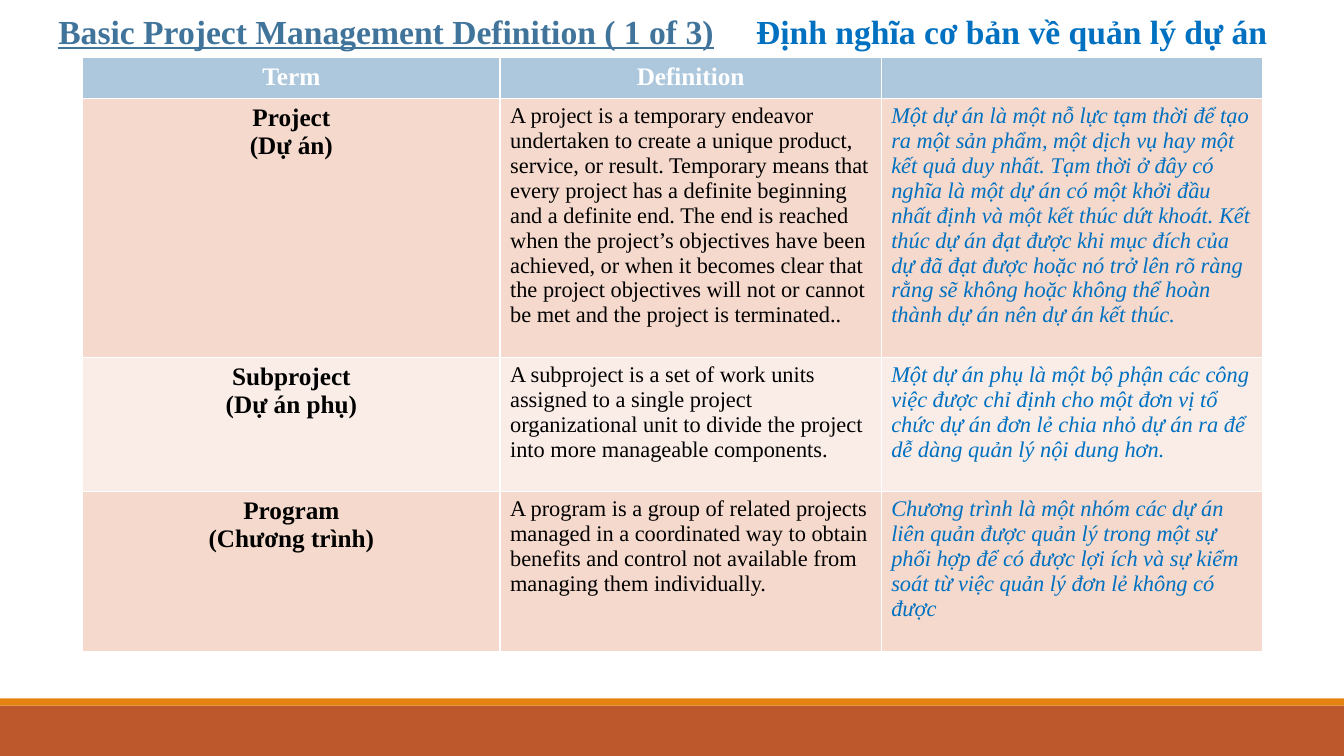
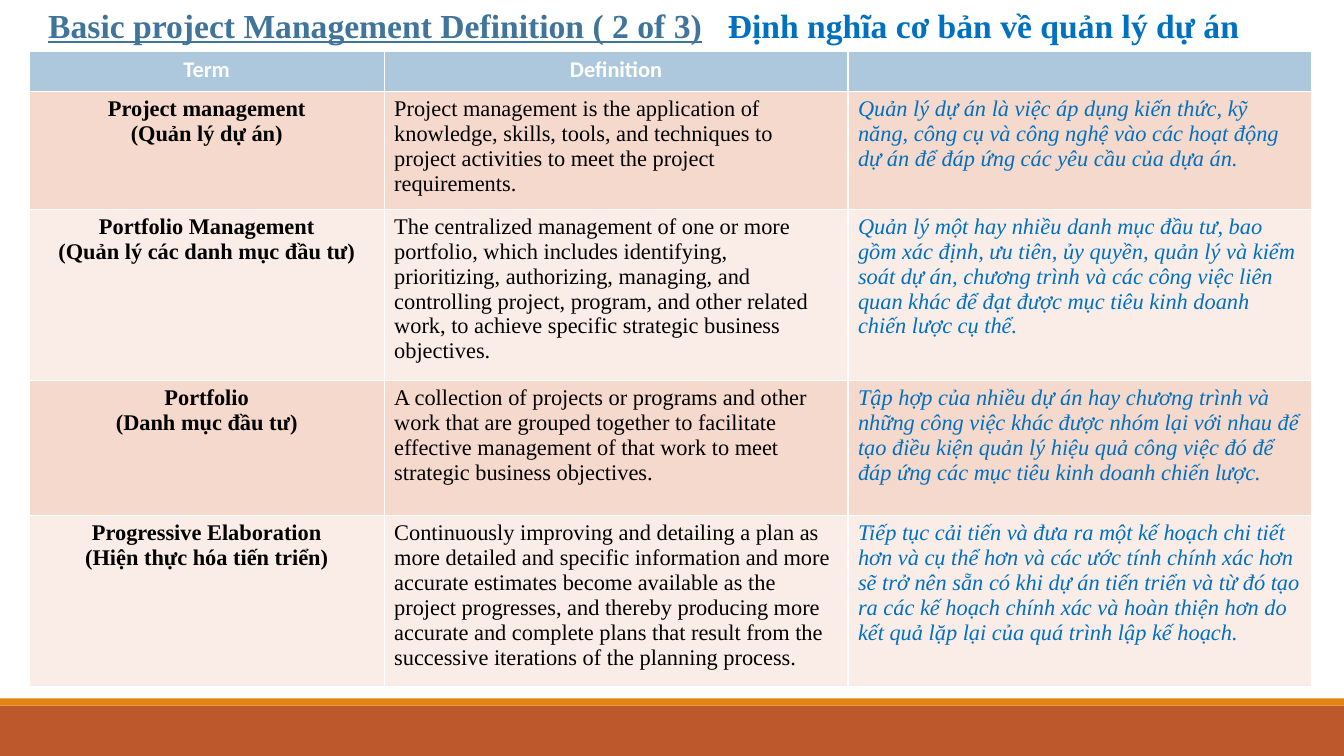
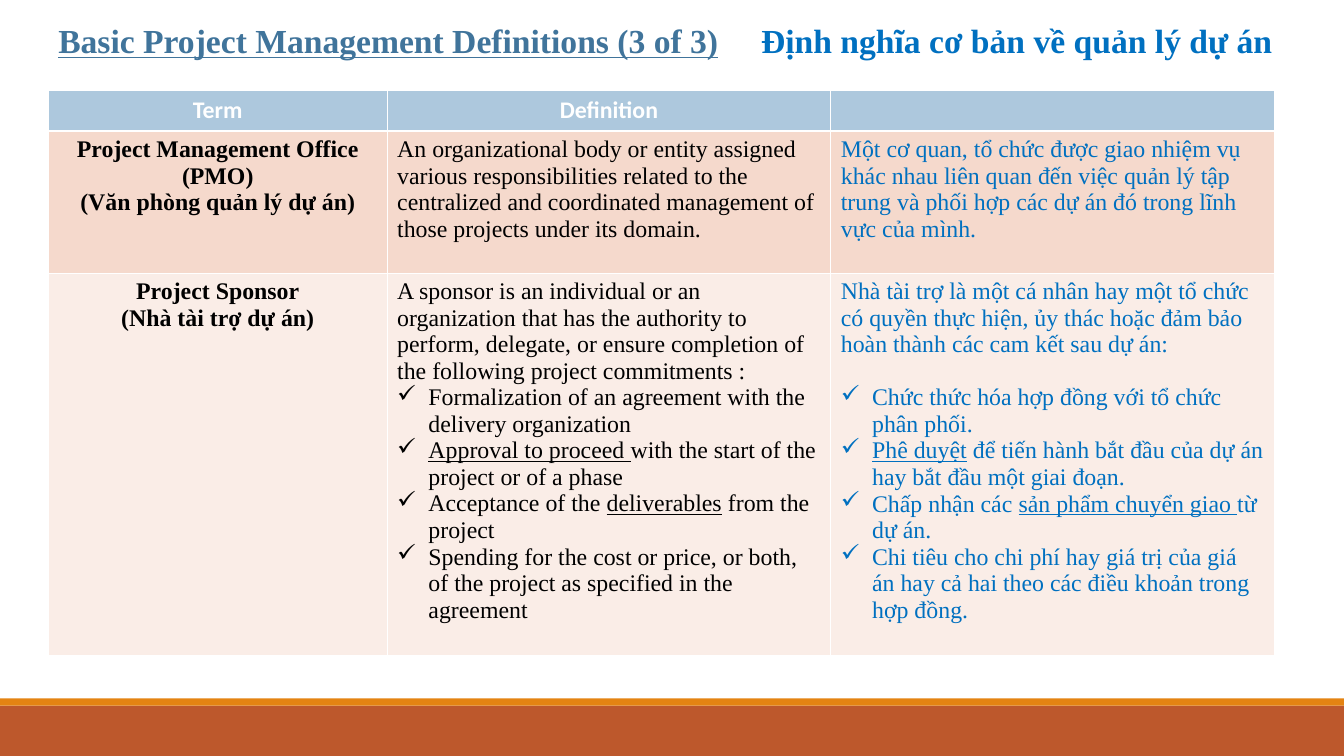
import pptx
import pptx.util
import pptx.dml.color
import pptx.enum.shapes
import pptx.enum.text
import pptx.oxml.ns
import lxml.etree

Inches = pptx.util.Inches
Pt = pptx.util.Pt
ALIGN = pptx.enum.text.PP_ALIGN

INK = {
    "band": "BD582C", "strip": "E48312", "title": "40749B", "blue": "0070C0",
    "black": "000000", "white": "FFFFFF",
    "head": "ADC8DD", "odd": "F5D9CC", "even": "FAEDE7",
}
SERIF = "Times New Roman"
SANS = "Calibri"
LOCAL = "Định nghĩa cơ bản về quản lý dự án"
HEADS = ["Term", "Definition", ""]
BANDS = [("band", 7, 0.5), ("strip", 6.93, 0.07)]
TICK = "✓ "

TITLE = {"name": SERIF, "size": Pt(24), "bold": True}
HEAD = {"bold": True, "ink": "white"}
COLS = [
    {"name": SERIF, "bold": True, "ink": "black"},
    {"name": SERIF, "bold": False, "ink": "black"},
    {"name": SERIF, "bold": False, "ink": "blue"},
]

SLIDES = [
    {
        "title": "Basic Project Management Definition ( 1 of 3)",
        "box": (0.48, 0.06, 12.39), "tab": 6.92,
        "at": (0.82, 0.57), "cols": [4.14, 3.78, 3.78],
        "rows": [0.41, 2.57, 1.33, 1.58],
        "font": SERIF, "sizes": (18, 18, 16), "slant": True, "gap": 0,
        "cells": [
            (["Project", "(Dự án)"],
             ["A project is a temporary endeavor undertaken to create a unique product, service, or result. Temporary means that every project has a definite beginning and a definite end. The end is reached when the project’s objectives have been achieved, or when it becomes clear that the project objectives will not or cannot be met and the project is terminated.."],
             ["Một dự án là một nỗ lực tạm thời để tạo ra một sản phẩm, một dịch vụ hay một kết quả duy nhất. Tạm thời ở đây có nghĩa là một dự án có một khởi đầu nhất định và một kết thúc dứt khoát. Kết thúc dự án đạt được khi mục đích của dự đã đạt được hoặc nó trở lên rõ ràng rằng sẽ không hoặc không thể hoàn thành dự án nên dự án kết thúc."]),
            (["Subproject", "(Dự án phụ)"],
             ["A subproject is a set of work units assigned to a single project organizational unit to divide the project into more manageable components."],
             ["Một dự án phụ là một bộ phận các công việc được chỉ định cho một đơn vị tổ chức dự án đơn lẻ chia nhỏ dự án ra để dễ dàng quản lý nội dung hơn."]),
            (["Program", "(Chương trình)"],
             ["A program is a group of related projects managed in a coordinated way to obtain benefits and control not available from managing them individually."],
             ["Chương trình là một nhóm các dự án liên quản được quản lý trong một sự phối hợp để có được lợi ích và sự kiểm soát từ việc quản lý đơn lẻ không có được"]),
        ],
    },
    {
        "title": "Basic project Management Definition ( 2 of 3)",
        "box": (0.38, 0, 12.71), "tab": 6.74,
        "at": (0.29, 0.51), "cols": [3.52, 4.6, 4.6],
        "rows": [0.38, 1.08, 1.59, 1.34, 1.59],
        "font": SANS, "sizes": (16, 16, 16), "slant": True, "gap": 0,
        "cells": [
            (["Project management", "(Quản lý dự án)"],
             ["Project management is the application of knowledge, skills, tools, and techniques to project activities to meet the project requirements."],
             ["Quản lý dự án là việc áp dụng kiến thức, kỹ năng, công cụ và công nghệ vào các hoạt động dự án để đáp ứng các yêu cầu của dựa án."]),
            (["Portfolio Management", "(Quản lý các danh mục đầu tư)"],
             ["The centralized management of one or more portfolio, which includes identifying, prioritizing, authorizing, managing, and controlling project, program, and other related work, to achieve specific strategic business objectives."],
             ["Quản lý một hay nhiều danh mục đầu tư, bao gồm xác định, ưu tiên, ủy quyền, quản lý và kiểm soát dự án, chương trình và các công việc liên quan khác để đạt được mục tiêu kinh doanh chiến lược cụ thể."]),
            (["Portfolio", "(Danh mục đầu tư)"],
             ["A collection of projects or programs and other work that are grouped together to facilitate effective management of that work to meet strategic business objectives."],
             ["Tập hợp của nhiều dự án hay chương trình và những công việc khác được nhóm lại với nhau để tạo điều kiện quản lý hiệu quả công việc đó để đáp ứng các mục tiêu kinh doanh chiến lược."]),
            (["Progressive Elaboration", "(Hiện thực hóa tiến triển)"],
             ["Continuously improving and detailing a plan as more detailed and specific information and more accurate estimates become available as the project progresses, and thereby producing more accurate and complete plans that result from the successive iterations of the planning process."],
             ["Tiếp tục cải tiến và đưa ra một kế hoạch chi tiết hơn và cụ thể hơn và các ước tính chính xác hơn sẽ trở nên sẵn có khi dự án tiến triển và từ đó tạo ra các kế hoạch chính xác và hoàn thiện hơn do kết quả lặp lại của quá trình lập kế hoạch."]),
        ],
    },
    {
        "title": "Basic Project Management Definitions (3 of 3)",
        "box": (0.48, 0.15, 12.3), "tab": 6.97,
        "at": (0.48, 0.9), "cols": [3.36, 4.4, 4.4],
        "rows": [0.39, 1.41, 3.79],
        "font": SANS, "sizes": (17, 17, 17), "slant": False, "gap": 19,
        "cells": [
            (["Project Management Office (PMO)", "(Văn phòng quản lý dự án)"],
             ["An organizational body or entity assigned various responsibilities related to the centralized and coordinated management of those projects under its domain."],
             ["Một cơ quan, tổ chức được giao nhiệm vụ khác nhau liên quan đến việc quản lý tập trung và phối hợp các dự án đó trong lĩnh vực của mình."]),
            (["Project Sponsor", "(Nhà tài trợ dự án)"],
             ["A sponsor is an individual or an organization that has the authority to perform, delegate, or ensure completion of the following project commitments :",
              "✓ Formalization of an agreement with the delivery organization",
              "✓ _Approval to proceed _with the start of the project or of a phase",
              "✓ Acceptance of the _deliverables_ from the project",
              "✓ Spending for the cost or price, or both, of the project as specified in the agreement"],
             ["Nhà tài trợ là một cá nhân hay một tổ chức có quyền thực hiện, ủy thác hoặc đảm bảo hoàn thành các cam kết sau dự án:",
              "✓ Chức thức hóa hợp đồng với tổ chức phân phối.",
              "✓ _Phê duyệt_ để tiến hành bắt đầu của dự án hay bắt đầu một giai đoạn.",
              "✓ Chấp nhận các _sản phẩm chuyển giao _từ dự án.",
              "✓ Chi tiêu cho chi phí hay giá trị của giá án hay cả hai theo các điều khoản trong hợp đồng."]),
        ],
    },
]


def paint(fill, ink):
    fill.solid()
    fill.fore_color.rgb = pptx.dml.color.RGBColor.from_string(INK[ink])


def add_run(para, text, form):
    run = para.add_run()
    run.text = text
    for key, val in form.items():
        if key == "ink":
            paint(run.font.fill, val)
        else:
            setattr(run.font, key, val)


def add_sub(node, tag, **attrs):
    return lxml.etree.SubElement(node, pptx.oxml.ns.qn(tag), attrs)


def add_tick(para):
    props = para._p.get_or_add_pPr()
    props.set("marL", str(Inches(0.31)))
    props.set("indent", str(-Inches(0.31)))
    add_sub(props, "a:buChar", char=TICK.strip())


def add_bands(slide):
    for ink, top, high in BANDS:
        band = slide.shapes.add_shape(
            pptx.enum.shapes.MSO_SHAPE.RECTANGLE,
            0, Inches(top), Inches(13.33), Inches(high))
        band.shadow.inherit = False
        paint(band.fill, ink)
        band.line.fill.background()


def add_title(slide, page):
    left, top, wide = map(Inches, page["box"])
    frame = slide.shapes.add_textbox(left, top, wide, Inches(0.5)).text_frame
    frame.word_wrap = True
    para = frame.paragraphs[0]
    tabs = add_sub(para._p.get_or_add_pPr(), "a:tabLst")
    add_sub(tabs, "a:tab", pos=str(Inches(page["tab"])), algn="l")
    add_run(para, page["title"], TITLE | {"ink": "title", "underline": True})
    add_run(para, "\t" + LOCAL, TITLE | {"ink": "blue"})


def fill_cell(cell, texts, form, align, gap):
    frame = cell.text_frame
    for num, text in enumerate(texts):
        para = frame.add_paragraph() if num else frame.paragraphs[0]
        para.alignment = align
        if text.startswith(TICK):
            if num == 1 and gap:
                para.space_before = Pt(gap)
            add_tick(para)
            text = text.removeprefix(TICK)
        for turn, part in enumerate(text.split("_")):
            if part or not text:
                add_run(para, part, form | {"underline": turn % 2 == 1})


def add_grid(slide, page):
    cols, rows = page["cols"], page["rows"]
    left, top = page["at"]
    grid = slide.shapes.add_table(
        len(rows), len(cols), Inches(left), Inches(top),
        Inches(sum(cols)), Inches(sum(rows))).table
    for col, wide in zip(grid.columns, cols):
        col.width = Inches(wide)
    for row, high in zip(grid.rows, rows):
        row.height = Inches(high)
    top_size, term, body = map(Pt, page["sizes"])
    head = HEAD | {"name": page["font"], "size": top_size}
    forms = [base | {"size": size, "italic": slant} for base, size, slant in
             zip(COLS, (term, body, body), (False, False, page["slant"]))]
    lines = [[[text] for text in HEADS]] + page["cells"]
    for r, line in enumerate(lines):
        for c, texts in enumerate(line):
            cell = grid.cell(r, c)
            paint(cell.fill, ("odd" if r % 2 else "even") if r else "head")
            align = ALIGN.CENTER if r == 0 or c == 0 else ALIGN.LEFT
            gap = page["gap"] if c == 2 else 0
            fill_cell(cell, texts, forms[c] if r else head, align, gap)


def main():
    deck = pptx.Presentation()
    deck.slide_width, deck.slide_height = Inches(13.33), Inches(7.5)
    for page in SLIDES:
        slide = deck.slides.add_slide(deck.slide_layouts[6])
        add_bands(slide)
        add_grid(slide, page)
        add_title(slide, page)
    deck.save("out.pptx")


if __name__ == "__main__":
    main()
